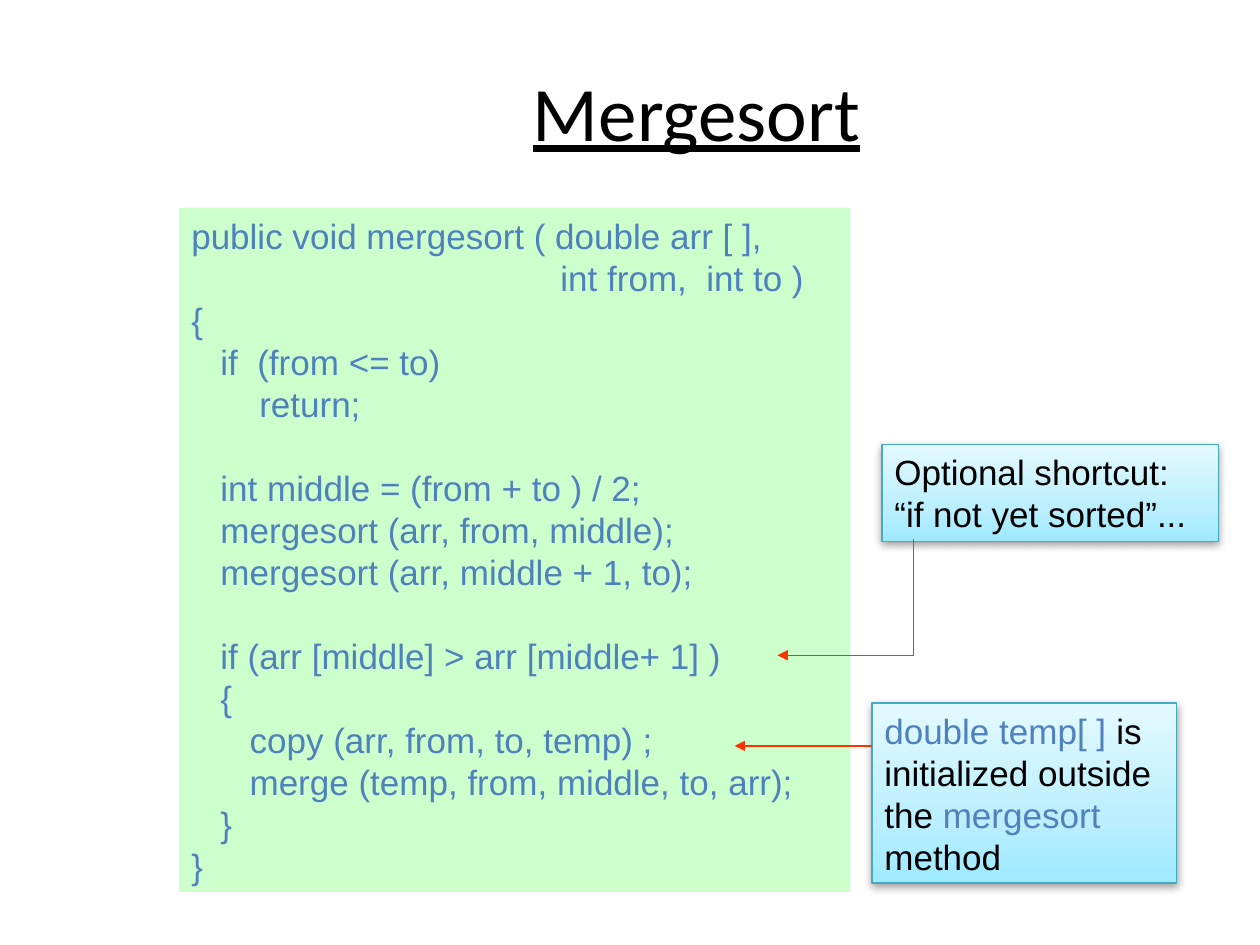
from pptx import Presentation
from pptx.util import Inches, Pt
from pptx.dml.color import RGBColor
from pptx.enum.shapes import MSO_SHAPE, MSO_CONNECTOR
from pptx.enum.text import MSO_ANCHOR, PP_ALIGN
from pptx.oxml import parse_xml
from lxml import etree

NS = "http://schemas.openxmlformats.org/drawingml/2006/main"
BLUE, BLACK, RED = "4F81BD", "000000", "FF3300"
BODY = {"size": Pt(20), "name": "Arial"}
TITLE = {"size": Pt(44), "name": "Calibri", "underline": True}


def rgb(value):
    return RGBColor.from_string(value)


def add_run(p, text, color, fmt):
    r = p.add_run()
    r.text = text
    for key, value in fmt.items():
        setattr(r.font, key, value)
    r.font.color.rgb = rgb(color)


prs = Presentation()
prs.slide_width, prs.slide_height = Inches(10), Inches(7.5)
s = prs.slides.add_slide(prs.slide_layouts[6])

tf = s.shapes.add_textbox(Inches(1.28), Inches(0.25), Inches(8.5), Inches(1.25)).text_frame
tf.word_wrap = True
tf.vertical_anchor = MSO_ANCHOR.MIDDLE
tf.paragraphs[0].alignment = PP_ALIGN.CENTER
add_run(tf.paragraphs[0], "Mergesort", BLACK, TITLE)

code = """public void mergesort ( double arr [ ],
                                      int from,  int to )
{
   if  (from <= to)
       return;

   int middle = (from + to ) / 2;
   mergesort (arr, from, middle);
   mergesort (arr, middle + 1, to);

   if (arr [middle] > arr [middle+ 1] )
   {
      copy (arr, from, to, temp) ;
      merge (temp, from, middle, to, arr);
   }
}"""
code_paragraphs = []
gap = 0
for line in code.split("\n"):
    if line:
        code_paragraphs.append((gap, [(line, BLUE)]))
        gap = 0
    else:
        gap = 24

temp_note = [("double temp[ ]", BLUE), (" is initialized outside the ", BLACK),
             ("mergesort", BLUE), (" method", BLACK)]
shortcut_note = [("Optional shortcut: “if not yet sorted”...", BLACK)]

boxes = [
    (1.42, 1.65, 5.33, 5.43, False, code_paragraphs),
    (6.92, 5.58, 2.42, 1.43, True, [(0, temp_note)]),
    (7, 3.53, 2.67, 0.77, True, [(0, shortcut_note)]),
]
stops = "".join(
    f'<a:gs pos="{pos}000"><a:srgbClr val="{color}"/></a:gs>'
    for pos, color in [(0, "9EEAFF"), (35, "BBEFFF"), (100, "E4F9FF")]
)
gradient = (f'<a:gradFill xmlns:a="{NS}" rotWithShape="1"><a:gsLst>{stops}</a:gsLst>'
            '<a:lin ang="16200000" scaled="0"/></a:gradFill>')
shadow = (f'<a:outerShdw xmlns:a="{NS}" blurRad="{Pt(5)}" dist="{Pt(1.6)}" dir="5400000" '
          'rotWithShape="0"><a:srgbClr val="000000"><a:alpha val="38000"/></a:srgbClr></a:outerShdw>')

for x, y, w, h, is_note, paragraphs in boxes:
    sp = s.shapes.add_shape(MSO_SHAPE.RECTANGLE, Inches(x), Inches(y), Inches(w), Inches(h))
    sp.shadow.inherit = False
    sp.fill.solid()
    sp.fill.fore_color.rgb = rgb("CCFFCC")
    if is_note:
        sp.line.color.rgb = rgb("46AAC5")
        sp.line.width = Pt(0.75)
        spPr = sp._element.spPr
        spPr.replace(spPr.find(f"{{{NS}}}solidFill"), parse_xml(gradient))
        spPr.find(f"{{{NS}}}effectLst").append(parse_xml(shadow))
    else:
        sp.line.fill.background()
    tf = sp.text_frame
    tf.word_wrap = True
    tf.vertical_anchor = MSO_ANCHOR.TOP
    for i, (space, runs) in enumerate(paragraphs):
        p = tf.add_paragraph() if i else tf.paragraphs[0]
        p.alignment = PP_ALIGN.LEFT
        p.line_spacing = Pt(24)
        p.space_before = Pt(space)
        for text, color in runs:
            add_run(p, text, color, BODY)

for x1, y1, x2, y2, has_arrow in [
    (7.25, 4.28, 7.25, 5.2, False),
    (7.25, 5.2, 6.17, 5.2, True),
    (6.92, 5.92, 5.83, 5.92, True),
]:
    c = s.shapes.add_connector(MSO_CONNECTOR.STRAIGHT, Inches(x1), Inches(y1), Inches(x2), Inches(y2))
    c.line.color.rgb = rgb(RED)
    c.line.width = Pt(0.75)
    if has_arrow:
        etree.SubElement(c.line._get_or_add_ln(), f"{{{NS}}}tailEnd", type="triangle")
    etree.SubElement(c._element.spPr, f"{{{NS}}}effectLst")

prs.save("out.pptx")
